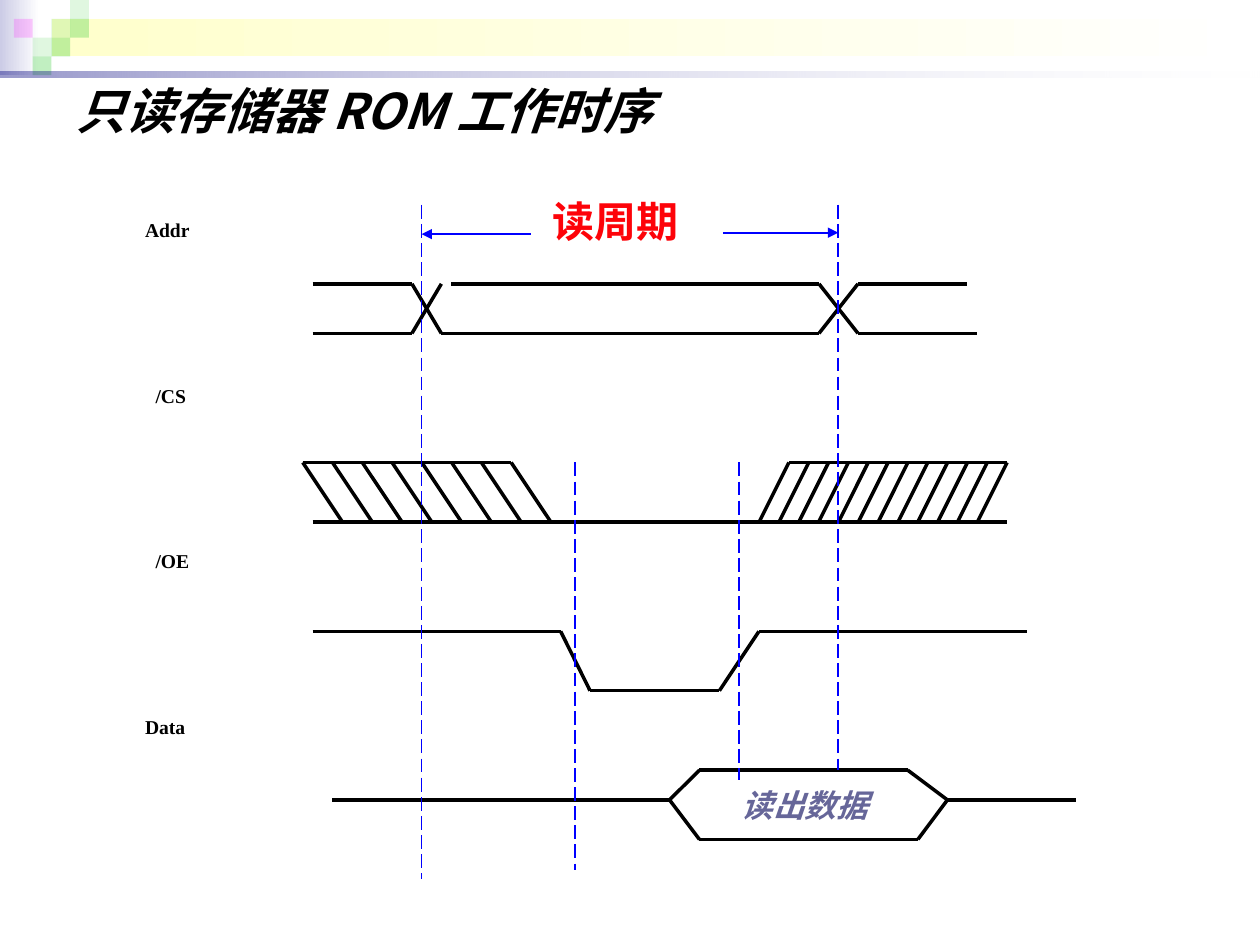
from dataclasses import dataclass
from typing import Any
from lxml.etree import SubElement
from pptx import Presentation
from pptx.dml.color import RGBColor
from pptx.enum.dml import MSO_LINE
from pptx.enum.shapes import MSO_CONNECTOR, MSO_SHAPE
from pptx.enum.text import MSO_ANCHOR
from pptx.oxml.ns import qn
from pptx.util import Pt

BLACK = RGBColor(0x00, 0x00, 0x00)
WHITE = RGBColor(0xFF, 0xFF, 0xFF)
BLUE = RGBColor(0x00, 0x00, 0xFF)
RED = RGBColor(0xFD, 0x03, 0x09)
SLATE = RGBColor(0x66, 0x66, 0x99)
LILAC = RGBColor(0xCC, 0xCC, 0xE6)
CREAM = RGBColor(0xFF, 0xFF, 0xCC)
NAVY = RGBColor(0x00, 0x00, 0x7D)
GREEN = RGBColor(0x33, 0xCC, 0x33)
PINK = RGBColor(0xFF, 0x00, 0xFF)


def write(frame, text, font="Arial", size=18, color=BLACK, bold=True, italic=False):
    run = frame.paragraphs[0].add_run()
    run.text = text
    face = run.font
    face.name, face.size, face.bold, face.italic = font, Pt(size), bold, italic
    face.color.rgb = color
    SubElement(run._r.get_or_add_rPr(), qn("a:ea"), typeface="Noto Sans CJK JP")


def fade(fill, *alphas):
    for node, alpha in zip(fill.iter(qn("a:srgbClr")), alphas):
        SubElement(node, qn("a:alpha"), val=str(alpha * 1000))


@dataclass
class Board:
    """Draws styled elements on the current slide, measured in points."""

    slide: Any
    thick: float = 2
    thin: float = 1

    def block(self, x, y, w, h, colors, alphas=()):
        box = self.slide.shapes.add_shape(MSO_SHAPE.RECTANGLE, Pt(x), Pt(y), Pt(w), Pt(h))
        box.shadow.inherit = False
        box.line.fill.background()
        if len(colors) == 1:
            box.fill.solid()
            box.fill.fore_color.rgb = colors[0]
        else:
            box.fill.gradient()
            box.fill.gradient_angle = 0
            for stop, color in zip(box.fill.gradient_stops, colors):
                stop.color.rgb = color
        fade(box._element.spPr, *alphas)

    def line(self, start, end, color=BLACK, dash=False, arrow=False):
        link = self.slide.shapes.add_connector(
            MSO_CONNECTOR.STRAIGHT, *(Pt(n) for n in (*start, *end)))
        link.line.color.rgb = color
        link.line.width = Pt(self.thick if color == BLACK else self.thin)
        if dash:
            link.line.dash_style = MSO_LINE.LONG_DASH
        if arrow:
            SubElement(link.line._get_or_add_ln(), qn("a:tailEnd"), type="triangle")
        SubElement(link._element.spPr, qn("a:effectLst"))

    def wave(self, *points):
        for start, end in zip(points, points[1:]):
            self.line(start, end)

    def label(self, x, y, w, h, text, wrap=False, **form):
        box = self.slide.shapes.add_textbox(Pt(x), Pt(y), Pt(w), Pt(h))
        frame = box.text_frame
        frame.word_wrap = wrap
        frame.vertical_anchor = MSO_ANCHOR.MIDDLE
        write(frame, text, **form)


deck = Presentation()
deck.slide_width, deck.slide_height = Pt(720), Pt(540)
board = Board(deck.slides.add_slide(deck.slide_layouts[6]))

board.block(0, 0, 22.5, 43, (LILAC, WHITE))
board.block(29.5, 10.8, 687.6, 21.4, (CREAM, WHITE))
TILE = 10.75
for col, row, color, alpha in (
        (2, 1, GREEN, 15), (3, 0, GREEN, 15), (3, 1, GREEN, 30), (1, 2, GREEN, 15),
        (0, 1, PINK, 20), (2, 2, GREEN, 30), (1, 3, GREEN, 30)):
    board.block(7.9 + col * TILE, row * TILE, TILE, TILE, (color,), (alpha,))
board.block(0, 40.8, 720, 3.8, (NAVY, WHITE), (40, 10))

board.label(36.7, 37.5, 648, 51, "只读存储器 ROM 工作时序", wrap=True,
            font="Noto Sans CJK JP", size=28, italic=True)
for step, (x, name) in enumerate(((83, "Addr"), (89, "/CS"), (89, "/OE"), (83, "Data"))):
    board.label(x - 7.2, 120.5 + step * 94.8, 60, 21, name,
                wrap=True, font="Times New Roman", size=11.2)

HIGH, LOW = 162.2, 190.5
board.wave((178.6, HIGH), (235.4, HIGH), (252.2, LOW), (468, LOW), (490.3, HIGH), (552.7, HIGH))
board.wave((178.6, LOW), (235.4, LOW), (252.2, HIGH))
board.wave((257.9, HIGH), (468, HIGH), (490.3, LOW), (558.3, LOW))

TOP, BASE = 264.3, 298.3
board.wave((178.6, BASE), (575.5, BASE))
for left, right, count, lean in ((173, 292.1, 8, 22.7), (450.8, 575.5, 12, -17)):
    board.wave((left, TOP), (right, TOP))
    gap = (right - left) / (count - 1)
    for i in range(count):
        x = left + i * gap
        board.wave((x, TOP), (x + lean, BASE))

board.wave((178.6, 360.8), (320.4, 360.8), (337.2, 394.7),
           (411.1, 394.7), (433.7, 360.8), (586.8, 360.8))

MID = 457.1
board.wave((190, MID), (382.6, MID), (399.7, 440.1), (518.7, 440.1), (541.4, MID), (615, MID))
board.wave((382.6, MID), (399.7, 479.7), (524.5, 479.7), (541.4, MID))

for x, top, end in ((240.9, 117, 502.5), (479, 117, 440), (328.6, 264.3, 497), (422.5, 264.3, 445.8)):
    board.line((x, top), (x, end), BLUE, dash=True)
board.line((303.3, 133.8), (240.9, 133.8), BLUE, arrow=True)
board.line((413.1, 133), (479, 133), BLUE, arrow=True)

board.label(416.9, 445.7, 86.4, 28.8, "读出数据", color=SLATE, italic=True)
board.label(308.9, 108, 86.4, 36, "读周期", size=24, color=RED)

deck.save("out.pptx")
